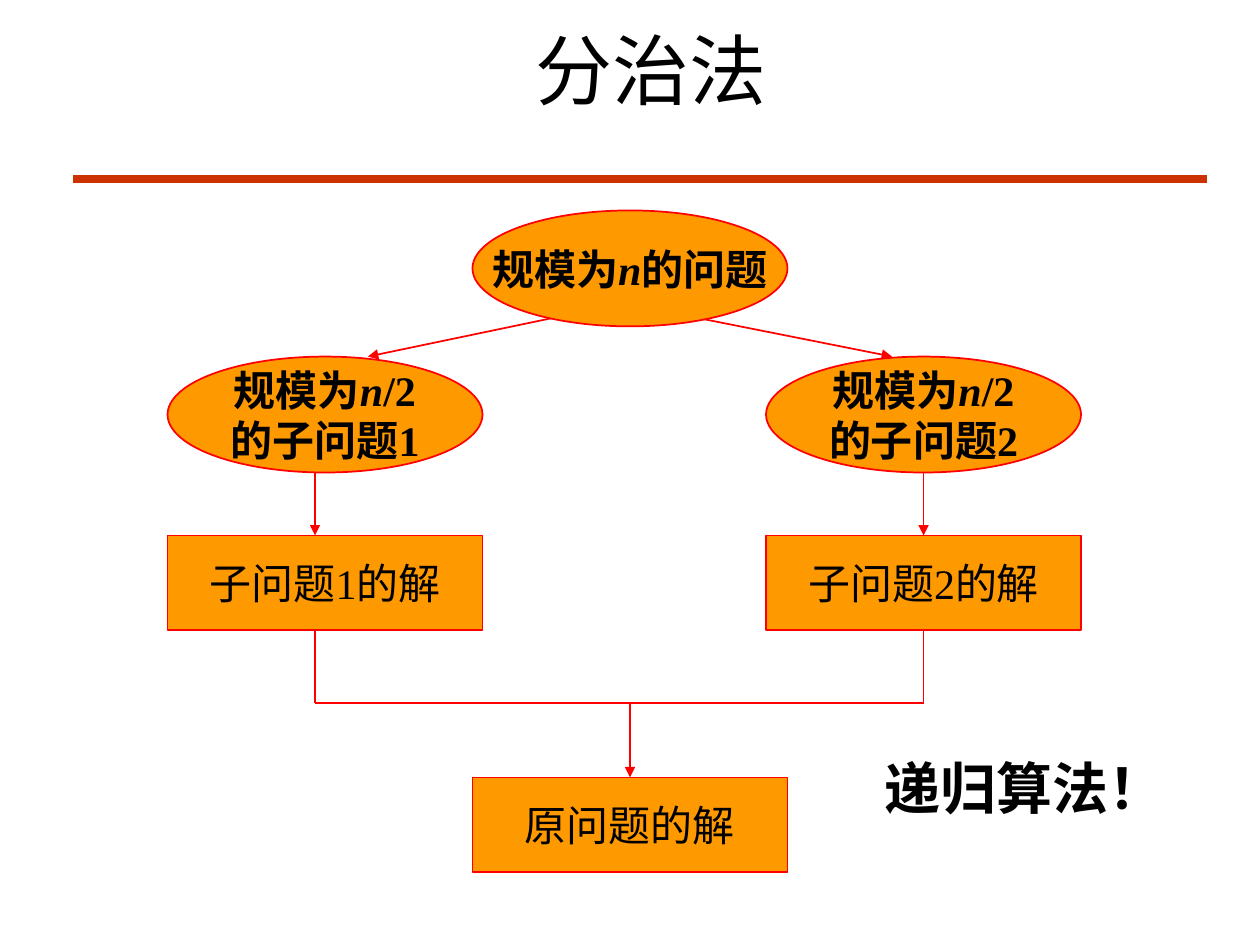
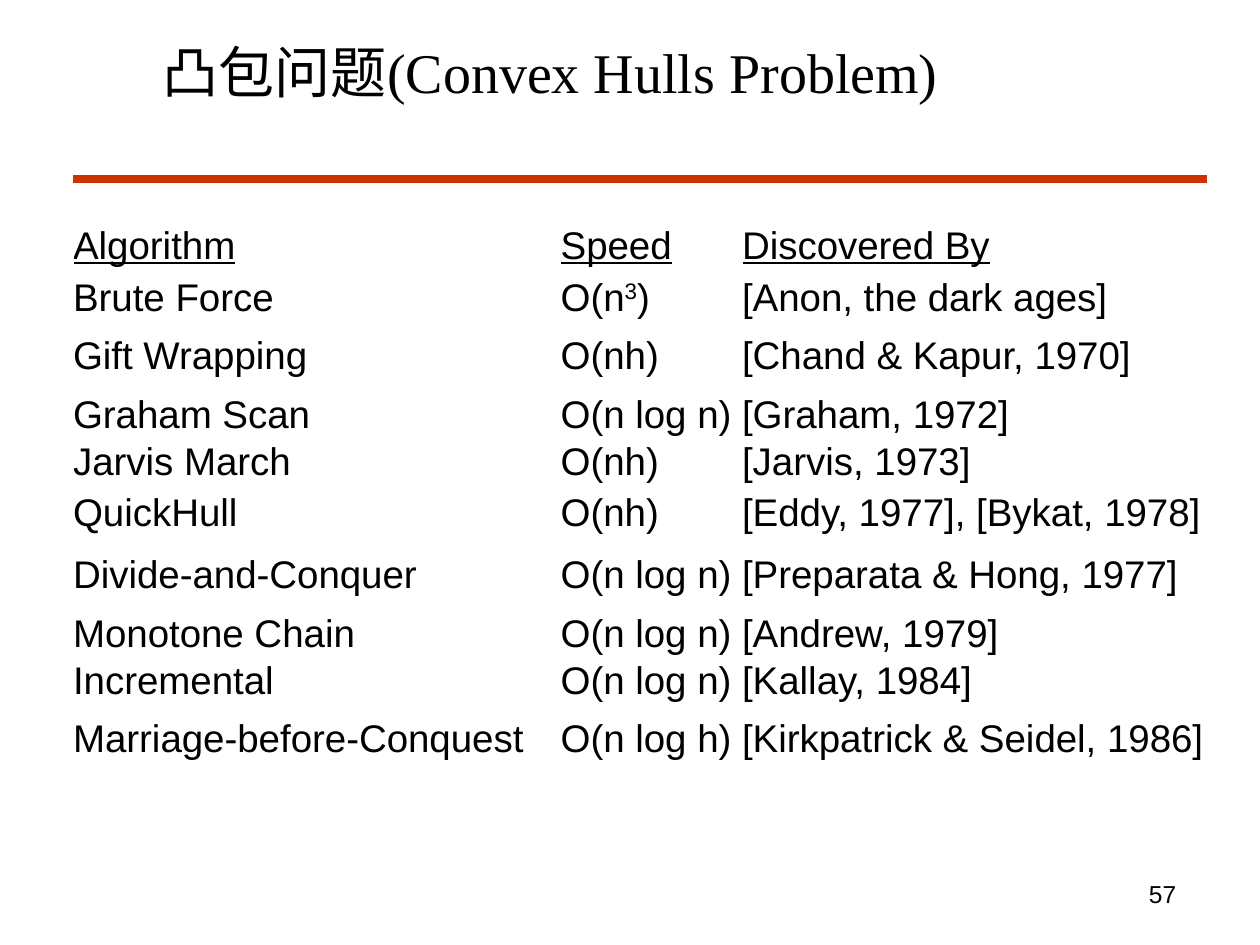
from dataclasses import dataclass
from typing import NamedTuple, Optional

from pptx import Presentation
from pptx.dml.color import RGBColor
from pptx.enum import shapes, text
from pptx.oxml import ns, xmlchemy
from pptx.util import Inches, Pt


@dataclass(frozen=True)
class Theme:
    ink: RGBColor = RGBColor(0, 0, 0)
    rule: RGBColor = RGBColor(0xCC, 0x33, 0x00)
    node: RGBColor = RGBColor(0xFF, 0x99, 0x00)
    edge: RGBColor = RGBColor(0xFF, 0x00, 0x00)
    serif: str = "Times New Roman"
    sans: str = "Arial"
    title: int = 44
    subtitle: int = 32
    node_size: int = 24
    table_size: int = 22
    number_size: int = 14
    rule_width: float = 4.5
    edge_width: float = 1


THEME = Theme()


class Span(NamedTuple):
    text: str
    italic: bool = False
    raised: bool = False


class Area(NamedTuple):
    left: float
    top: float
    width: float
    height: float

    def inches(self):
        return [Inches(value) for value in self]


class Node(NamedTuple):
    name: str
    kind: shapes.MSO_SHAPE
    left: float
    top: float
    lines: tuple


class Link(NamedTuple):
    start: tuple
    end: tuple
    arrow: bool = False
    leaves: Optional[str] = None
    enters: Optional[str] = None


PROBLEM, SOLUTION = shapes.MSO_SHAPE.OVAL, shapes.MSO_SHAPE.RECTANGLE
NODE_WIDTH = 2.5
NODE_HEIGHT = {PROBLEM: 0.92, SOLUTION: 0.75}
LEFT, CENTRE, RIGHT = 1.33, 3.75, 6.08
LEFT_AXIS, CENTRE_AXIS, RIGHT_AXIS = 2.5, 5, 7.33
SPLIT_TOP, SOLVED_TOP, MERGE_Y, RESULT_TOP = 2.83, 4.25, 5.58, 6.17
SPLIT_BOTTOM = SPLIT_TOP + NODE_HEIGHT[PROBLEM]
SOLVED_BOTTOM = SOLVED_TOP + NODE_HEIGHT[SOLUTION]


def half_problem(number: int) -> tuple:
    return (Span("规模为"), Span("n", italic=True), Span("/2")), (Span(f"的子问题{number}"),)


NODES = [
    Node("problem", PROBLEM, CENTRE, 1.67,
         ((Span("规模为"), Span("n", italic=True), Span("的问题")),)),
    Node("half 1", PROBLEM, LEFT, SPLIT_TOP, half_problem(1)),
    Node("half 2", PROBLEM, RIGHT, SPLIT_TOP, half_problem(2)),
    Node("solved 1", SOLUTION, LEFT, SOLVED_TOP, ((Span("子问题1的解"),),)),
    Node("solved 2", SOLUTION, RIGHT, SOLVED_TOP, ((Span("子问题2的解"),),)),
    Node("result", SOLUTION, CENTRE, RESULT_TOP, ((Span("原问题的解"),),)),
]

SPLIT_LINKS = [
    Link((4.5, 2.5), (2.92, SPLIT_TOP), arrow=True),
    Link((5.42, 2.5), (7.08, SPLIT_TOP), arrow=True),
]

MERGE_LINKS = [
    Link((LEFT_AXIS, SPLIT_BOTTOM), (LEFT_AXIS, SOLVED_TOP), arrow=True),
    Link((RIGHT_AXIS, SPLIT_BOTTOM), (RIGHT_AXIS, SOLVED_TOP), arrow=True, enters="solved 2"),
    Link((LEFT_AXIS, SOLVED_BOTTOM), (LEFT_AXIS, MERGE_Y)),
    Link((RIGHT_AXIS, SOLVED_BOTTOM), (RIGHT_AXIS, MERGE_Y), leaves="solved 2"),
    Link((LEFT_AXIS, MERGE_Y), (RIGHT_AXIS, MERGE_Y)),
    Link((CENTRE_AXIS, MERGE_Y), (CENTRE_AXIS, RESULT_TOP), arrow=True, enters="result"),
]

COLUMN_WIDTHS = (3.87, 1.44, 3.95)
ROW_HEIGHTS = (0.46, 0.37, 0.56, 0.37, 0.37, 0.44, 0.56, 0.37, 0.37, 0.56)
CUBIC = (Span("O(n"), Span("3", raised=True), Span(")"))
ALGORITHMS = [
    ("Algorithm", "Speed", "Discovered By"),
    ("Brute Force", CUBIC, "[Anon, the dark ages]"),
    ("Gift Wrapping", "O(nh)", "[Chand & Kapur, 1970]"),
    ("Graham Scan", "O(n log n)", "[Graham, 1972]"),
    ("Jarvis March", "O(nh)", "[Jarvis, 1973]"),
    ("QuickHull", "O(nh)", "[Eddy, 1977], [Bykat, 1978]"),
    ("Divide-and-Conquer", "O(n log n)", "[Preparata & Hong, 1977]"),
    ("Monotone Chain", "O(n log n)", "[Andrew, 1979]"),
    ("Incremental", "O(n log n)", "[Kallay, 1984]"),
    ("Marriage-before-Conquest", "O(n log h)", "[Kirkpatrick & Seidel, 1986]"),
]


def write(frame, lines, size: int, name: str, align=text.PP_ALIGN.LEFT,
          bold: bool = False, underline: bool = False) -> None:
    """Fill a text frame with one paragraph for each line of spans."""
    for index, spans in enumerate(lines):
        para = frame.paragraphs[0] if index == 0 else frame.add_paragraph()
        para.alignment = align
        font = para.font
        font.size, font.name, font.bold, font.underline = Pt(size), name, bold, underline
        font.color.rgb = THEME.ink
        for span in spans:
            run = para.add_run()
            run.text = span.text
            if span.italic:
                run.font.italic = True
            if span.raised:
                run._r.get_or_add_rPr().set("baseline", "30000")


def add_text(page, area: Area, words: str, size: int, name: str = THEME.serif,
             anchor=text.MSO_ANCHOR.TOP, **style) -> None:
    frame = page.shapes.add_textbox(*area.inches()).text_frame
    frame.word_wrap = True
    frame.vertical_anchor = anchor
    write(frame, [[Span(words)]], size, name, **style)


def add_line(page, start: tuple, end: tuple, color: RGBColor, width: float, arrow: bool = False):
    points = [Inches(value) for value in (*start, *end)]
    line = page.shapes.add_connector(shapes.MSO_CONNECTOR.STRAIGHT, *points)
    line.line.color.rgb = color
    line.line.width = Pt(width)
    if arrow:
        head = xmlchemy.OxmlElement("a:tailEnd")
        head.set("type", "triangle")
        line.line._get_or_add_ln().append(head)
    line._element.find(ns.qn("p:spPr")).append(xmlchemy.OxmlElement("a:effectLst"))
    return line


def add_page(deck, title: str, area: Area, size: int):
    """Add a blank page with the shared rule and a centred title."""
    page = deck.slides.add_slide(deck.slide_layouts[6])
    add_line(page, (0.58, 1.42), (9.58, 1.42), THEME.rule, THEME.rule_width)
    add_text(page, area, title, size, anchor=text.MSO_ANCHOR.MIDDLE, align=text.PP_ALIGN.CENTER)
    return page


def add_node(page, node: Node):
    area = Area(node.left, node.top, NODE_WIDTH, NODE_HEIGHT[node.kind])
    box = page.shapes.add_shape(node.kind, *area.inches())
    box.shadow.inherit = False
    box.fill.solid()
    box.fill.fore_color.rgb = THEME.node
    box.line.color.rgb = THEME.edge
    box.line.width = Pt(THEME.edge_width)
    frame = box.text_frame
    frame.word_wrap = False
    frame.vertical_anchor = text.MSO_ANCHOR.MIDDLE
    write(frame, node.lines, THEME.node_size, THEME.serif,
          align=text.PP_ALIGN.CENTER, bold=node.kind == PROBLEM)
    return box


def add_links(page, links: list, boxes: dict) -> None:
    for link in links:
        line = add_line(page, link.start, link.end, THEME.edge, THEME.edge_width, link.arrow)
        if link.leaves:
            line.begin_connect(boxes[link.leaves], 2)
        if link.enters:
            line.end_connect(boxes[link.enters], 0)


def add_algorithm_table(page) -> None:
    area = Area(0.58, 1.72, sum(COLUMN_WIDTHS), sum(ROW_HEIGHTS))
    table = page.shapes.add_table(len(ALGORITHMS), len(COLUMN_WIDTHS), *area.inches()).table
    table.first_row = table.horz_banding = False
    for column, width in zip(table.columns, COLUMN_WIDTHS):
        column.width = Inches(width)
    for index, (row, height, entries) in enumerate(zip(table.rows, ROW_HEIGHTS, ALGORITHMS)):
        row.height = Inches(height)
        for cell, entry in zip(row.cells, entries):
            cell.fill.background()
            cell.vertical_anchor = text.MSO_ANCHOR.MIDDLE
            cell.margin_left = cell.margin_right = cell.margin_top = cell.margin_bottom = 0
            spans = [Span(entry)] if isinstance(entry, str) else entry
            write(cell.text_frame, [spans], THEME.table_size, THEME.sans, underline=index == 0)


def build_divide_page(deck) -> None:
    page = add_page(deck, "分治法", Area(0.67, 0.17, 9, 0.75), THEME.title)
    add_links(page, SPLIT_LINKS, {})
    boxes = {node.name: add_node(page, node) for node in NODES}
    add_links(page, MERGE_LINKS, boxes)
    add_text(page, Area(6.92, 5.93, 3, 0.64), "递归算法！", THEME.subtitle, bold=True)


def build_hull_page(deck) -> None:
    page = add_page(deck, "凸包问题(Convex Hulls Problem)",
                    Area(0.5, 0.17, 7.74, 0.79), THEME.subtitle)
    add_algorithm_table(page)
    add_text(page, Area(9.02, 6.93, 0.65, 0.52), "57", THEME.number_size, THEME.sans)


def main() -> None:
    deck = Presentation()
    deck.slide_width, deck.slide_height = Inches(10), Inches(7.5)
    build_divide_page(deck)
    build_hull_page(deck)
    deck.save("out.pptx")


if __name__ == "__main__":
    main()
